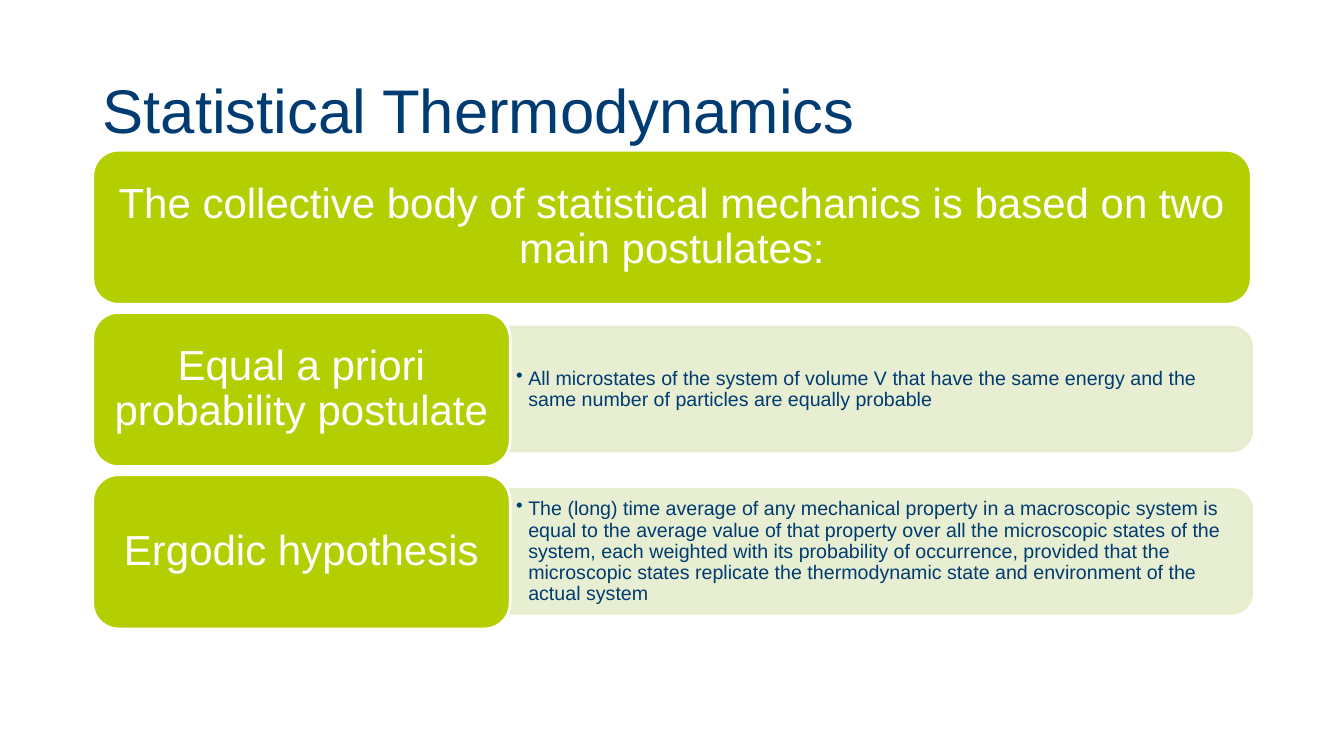
import lxml.etree
import pptx
import pptx.dml.color
import pptx.enum.shapes
import pptx.enum.text
import pptx.oxml.ns
import pptx.util

PX = 9144  # EMU per px, 100 px to the inch
SHAPES = pptx.enum.shapes.MSO_SHAPE
ALIGN = pptx.enum.text.PP_ALIGN
ANCHOR = pptx.enum.text.MSO_ANCHOR


def colour(hex_string):
    return pptx.dml.color.RGBColor.from_string(hex_string)


def add_xml(parent, tag, **attributes):
    return lxml.etree.SubElement(parent, pptx.oxml.ns.qn(tag), attributes)


class PostulateSlide:
    FONT = "Arial"
    NAVY, GREEN, PALE, WHITE = "003B71", "B3CF02", "E5EDCC", "FFFFFF"

    def __init__(self, presentation):
        self.slide = presentation.slides.add_slide(presentation.slide_layouts[5])

    def set_text(self, frame, text, size, hex_colour, align, insets):
        """Fill a text frame with one paragraph; insets are (side, top) in px."""
        frame.word_wrap = True
        frame.auto_size = pptx.enum.text.MSO_AUTO_SIZE.NONE
        frame.vertical_anchor = ANCHOR.MIDDLE
        frame.margin_left = frame.margin_right = insets[0] * PX
        frame.margin_top = frame.margin_bottom = insets[1] * PX
        paragraph = frame.paragraphs[0]
        paragraph.alignment = align
        paragraph.line_spacing = 0.9
        run = paragraph.add_run()
        run.text = text
        run.font.name = self.FONT
        run.font.size = pptx.util.Pt(size)
        run.font.color.rgb = colour(hex_colour)
        return paragraph

    def title(self, text, *box):
        heading = self.slide.shapes.title
        heading.left, heading.top, heading.width, heading.height = (v * PX for v in box)
        self.set_text(heading.text_frame, text, 44, self.NAVY, ALIGN.LEFT, (10, 5))

    def shape(self, kind, box, fill, line):
        shape = self.slide.shapes.add_shape(kind, *(v * PX for v in box))
        shape.shadow.inherit = False
        shape.fill.solid()
        shape.fill.fore_color.rgb = colour(fill)
        shape.line.color.rgb = colour(line)
        shape.line.width = pptx.util.Pt(2)
        return shape

    def card(self, text, *box):
        card = self.shape(SHAPES.ROUNDED_RECTANGLE, box, self.GREEN, self.WHITE)
        self.set_text(card.text_frame, text, 30, self.WHITE, ALIGN.CENTER, (12, 6))

    def panel(self, left, top, width, height):
        # The frame is upright; a quarter turn brings the round corners to the right
        shift = (width - height) // 2
        box = (left + shift, top - shift, height, width)
        panel = self.shape(SHAPES.ROUND_2_SAME_RECTANGLE, box, self.PALE, self.PALE)
        panel.rotation = 90
        for tint in panel._element.spPr.iter(pptx.oxml.ns.qn("a:srgbClr")):
            add_xml(tint, "a:alpha", val="90000")

    def bullet(self, text, *box):
        note = self.slide.shapes.add_textbox(*(v * PX for v in box))
        paragraph = self.set_text(note.text_frame, text, 14, self.NAVY, ALIGN.LEFT, (6, 3))
        properties = paragraph._p.get_or_add_pPr()
        properties.set("marL", str(12 * PX))
        properties.set("indent", str(-12 * PX))
        add_xml(properties, "a:buChar", char="•")


def main():
    presentation = pptx.Presentation()
    presentation.slide_width, presentation.slide_height = 1333 * PX, 750 * PX
    page = PostulateSlide(presentation)

    # Title and introduction
    left, top, card_height, pitch = 92, 149, 153, 161
    card_width = 414
    page.title("Statistical Thermodynamics", left, 40, 1150, 145)
    page.card("The collective body of statistical mechanics is based on two main postulates:",
              left, top, 1149, card_height)

    # One row for each postulate
    postulates = [
        ("Equal a priori probability postulate",
         "All microstates of the system of volume V that have the same energy and "
         "the same number of particles are equally probable"),
        ("Ergodic hypothesis",
         "The (long) time average of any mechanical property in a macroscopic system "
         "is equal to the average value of that property over all the microscopic "
         "states of the system, each weighted with its probability of occurrence, "
         "provided that the microscopic states replicate the thermodynamic state and "
         "environment of the actual system"),
    ]
    for row, (name, statement) in enumerate(postulates, start=1):
        row_top = top + row * pitch
        text_left = left + card_width
        page.panel(text_left, row_top + 14, 736, 123)
        page.bullet(statement, text_left, row_top + 21, 730, 111)
        page.card(name, left, row_top, card_width, card_height)

    presentation.save("out.pptx")


if __name__ == "__main__":
    main()
